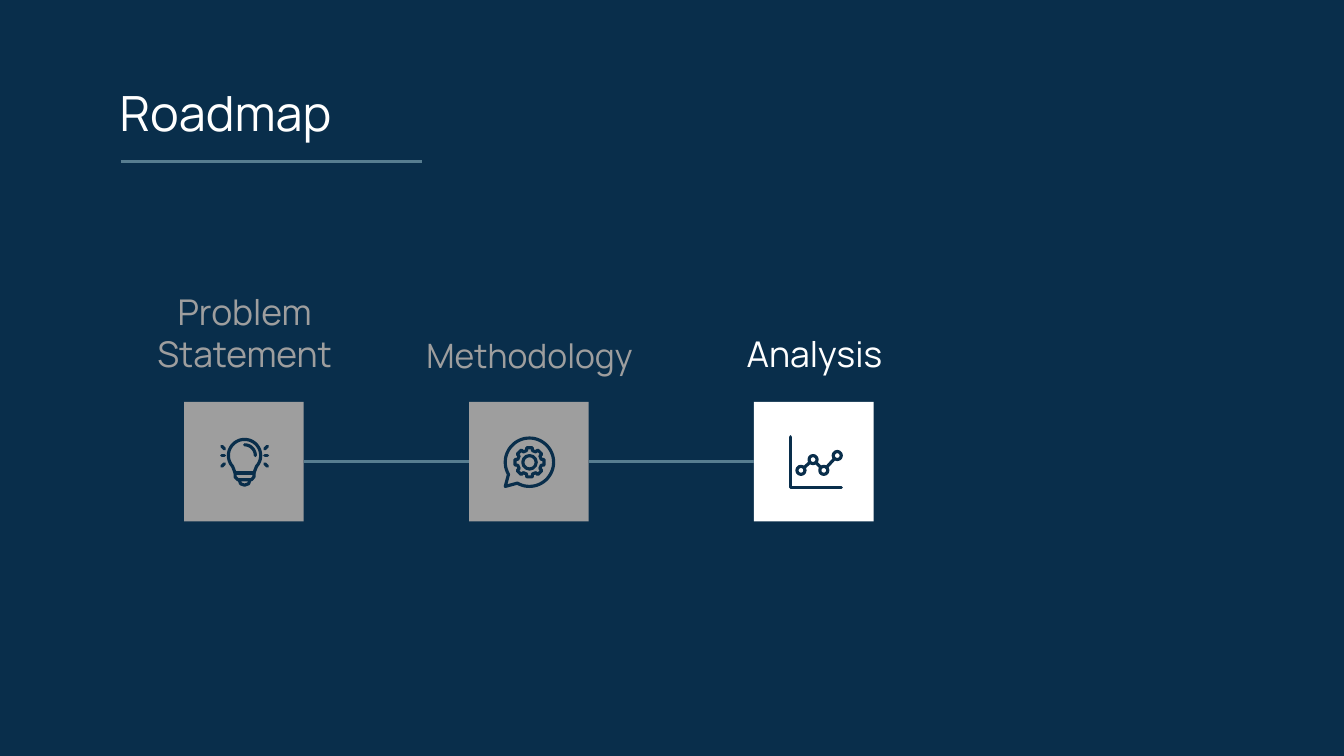
from math import cos, radians, sin

from pptx import Presentation
from pptx.dml.color import RGBColor
from pptx.enum import shapes, text
from pptx.oxml import ns, xmlchemy
from pptx.util import Inches, Pt

NAVY = RGBColor(0x09, 0x2E, 0x4B)
GREY = RGBColor(0x9E, 0x9E, 0x9E)
WHITE = RGBColor(0xFF, 0xFF, 0xFF)
STEEL = RGBColor(0x57, 0x7D, 0x90)
FONT = "Manrope"

# Content: label, text size, colour of label and square, icon
TITLE = "Roadmap"
STEPS = [
    ("Problem Statement", 19, GREY, "bulb"),
    ("Methodology", 18, GREY, "gear"),
    ("Analysis", 19, WHITE, "chart"),
]

# Layout in inches
SQUARE_LEFT, SQUARE_TOP, SQUARE_SIDE, PITCH = 1.37, 2.99, 0.89, 2.12
LABEL_LEFT, LABEL_TOP, LABEL_WIDTH, LABEL_HEIGHT = 0.9, 2.38, 1.84, 0.51
ICON_X, ICON_Y = 1.82, 3.44


def arc(radius, start, end, y=0, step=6):
    """Points on a circle around (0, y), angles in degrees."""
    return [(radius * cos(radians(a)), y + radius * sin(radians(a)))
            for a in range(start, end + 1, step)]


# Icon strokes: points around the icon's centre, and whether the outline closes
GEAR_TOOTH = [(-11, 0.11), (11, 0.11), (14, 0.09), (31, 0.09)]
GEAR = [(r * cos(radians(45 * k + a)), r * sin(radians(45 * k + a)))
        for k in range(8) for a, r in GEAR_TOOTH]
TREND = [(-0.1, 0.06), (-0.01, -0.02), (0.07, 0.06), (0.17, -0.05)]
RAYS = [[(side * x1, y1), (side * x2, y2)] for side in (-1, 1)
        for x1, y1, x2, y2 in [(0.15, -0.05, 0.17, -0.05),
                               (0.15, -0.1, 0.17, -0.12),
                               (0.15, 0.01, 0.17, 0.03)]]
BULB = arc(0.12, 138, 402, -0.05) + [(0.07, 0.08), (0.07, 0.11), (0.05, 0.13),
                                     (-0.05, 0.13), (-0.07, 0.11), (-0.07, 0.08)]
ICONS = {
    "bulb": [(BULB, True),
             ([(-0.07, 0.08), (0.07, 0.08)], False),
             ([(-0.04, 0.13), (-0.03, 0.16), (0, 0.17), (0.03, 0.16), (0.04, 0.13)], False),
             (arc(0.08, 270, 360, -0.05), False)] + [(ray, False) for ray in RAYS],
    "gear": [(arc(0.18, 150, 480) + [(-0.18, 0.18)], True), (GEAR, True)],
    "chart": [([(-0.18, -0.19), (-0.18, 0.19), (0.2, 0.19)], False), (TREND, False)],
}
# Icon circles: centre and radius
CIRCLES = {"gear": [(0, 0, 0.05)], "chart": [(x, y, 0.03) for x, y in TREND]}


def style(target, **values):
    for name, value in values.items():
        setattr(target, name, value)


def write(box, words, size, color, align, anchor):
    frame = box.text_frame
    style(frame, text=words, word_wrap=True, vertical_anchor=anchor,
          auto_size=text.MSO_AUTO_SIZE.NONE,
          **{f"margin_{side}": Inches(0.1) for side in ("left", "top", "right", "bottom")})
    para = frame.paragraphs[0]
    style(para, alignment=align, line_spacing=1.0)
    style(para.font, name=FONT, size=Pt(size), bold=False)
    para.font.color.rgb = color


def add_line(page, x1, y1, x2, y2):
    line = page.shapes.add_connector(shapes.MSO_CONNECTOR.STRAIGHT,
                                     *map(Inches, (x1, y1, x2, y2)))
    line.line.color.rgb = STEEL
    line.line.width = Pt(1.5)
    line._element.spPr.append(xmlchemy.OxmlElement("a:effectLst"))
    return line


def outline(shape, fill=None):
    shape.shadow.inherit = False
    if fill is None:
        shape.fill.background()
    else:
        shape.fill.solid()
        shape.fill.fore_color.rgb = fill
    shape.line.color.rgb = NAVY
    shape.line.width = Pt(1.7)
    shape._element.spPr.find(ns.qn("a:ln")).set("cap", "rnd")


def draw_icon(page, name, x, y, back):
    group = page.shapes.add_group_shape()
    for stroke, closed in ICONS[name]:
        points = [(Inches(x + dx), Inches(y + dy)) for dx, dy in stroke]
        builder = group.shapes.build_freeform(*points[0])
        builder.add_line_segments(points[1:], close=closed)
        outline(builder.convert_to_shape())
    for dx, dy, radius in CIRCLES.get(name, []):
        circle = group.shapes.add_shape(
            shapes.MSO_SHAPE.OVAL, Inches(x + dx - radius), Inches(y + dy - radius),
            Inches(2 * radius), Inches(2 * radius))
        outline(circle, back)


def main():
    # Widescreen page, 16:9
    deck = Presentation()
    style(deck, slide_width=Inches(10), slide_height=Inches(10) * 9 // 16)
    page = deck.slides.add_slide(deck.slide_layouts[5])
    page.background.fill.solid()
    page.background.fill.fore_color.rgb = NAVY

    # Title and rule
    title = page.shapes.title
    style(title, left=Inches(0.79), top=Inches(0.51), width=Inches(8.43), height=Inches(0.65))
    write(title, TITLE, 26, WHITE, text.PP_ALIGN.LEFT, text.MSO_ANCHOR.MIDDLE)
    add_line(page, 0.9, 1.2, 3.14, 1.2)

    # Steps, each joined to the one before
    previous = None
    for index, (label, size, color, icon) in enumerate(STEPS):
        shift = index * PITCH
        square = page.shapes.add_shape(
            shapes.MSO_SHAPE.RECTANGLE,
            *map(Inches, (SQUARE_LEFT + shift, SQUARE_TOP, SQUARE_SIDE, SQUARE_SIDE)))
        square.shadow.inherit = False
        square.fill.solid()
        square.fill.fore_color.rgb = color
        square.line.fill.background()
        box = page.shapes.add_textbox(
            *map(Inches, (LABEL_LEFT + shift, LABEL_TOP, LABEL_WIDTH, LABEL_HEIGHT)))
        write(box, label, size, color, text.PP_ALIGN.CENTER, text.MSO_ANCHOR.BOTTOM)
        if previous is not None:
            link = add_line(page, 0, 0, 1, 1)
            link.begin_connect(previous, 3)
            link.end_connect(square, 1)
        draw_icon(page, icon, ICON_X + shift, ICON_Y, color)
        previous = square

    deck.save("out.pptx")


if __name__ == "__main__":
    main()
